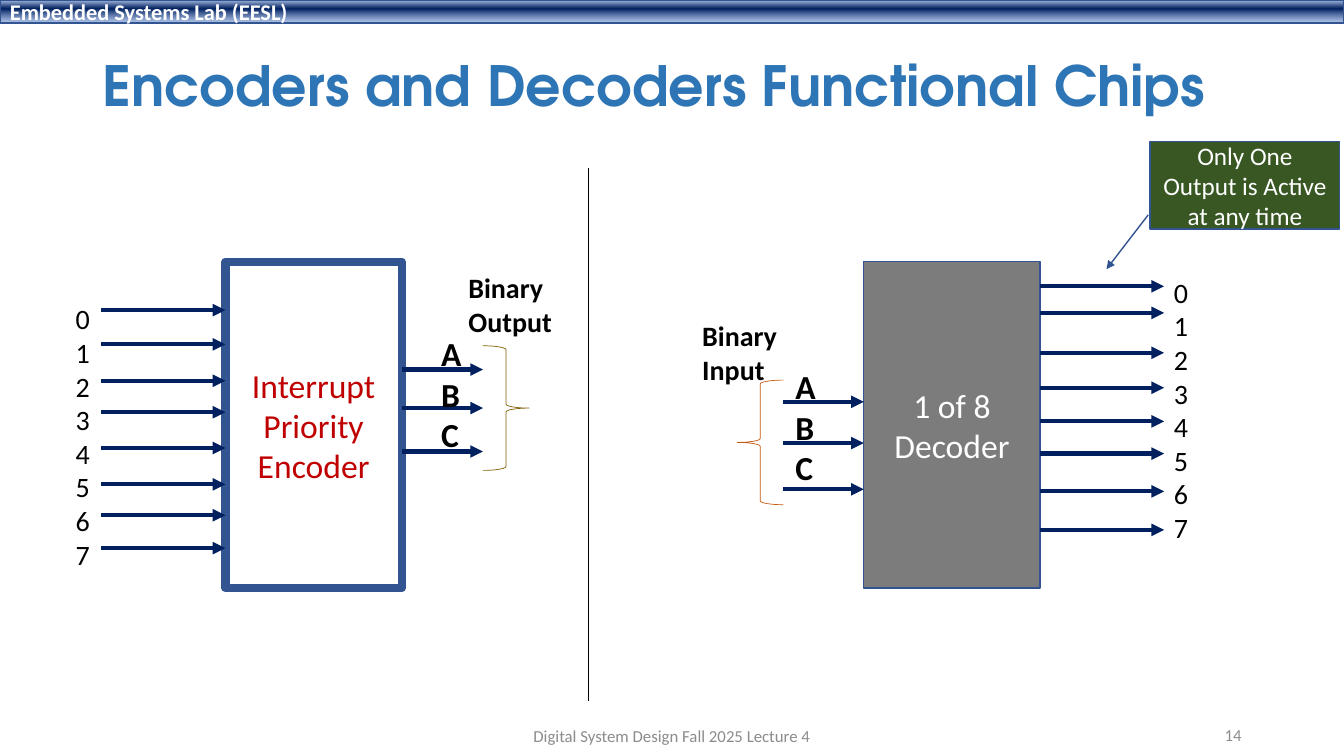
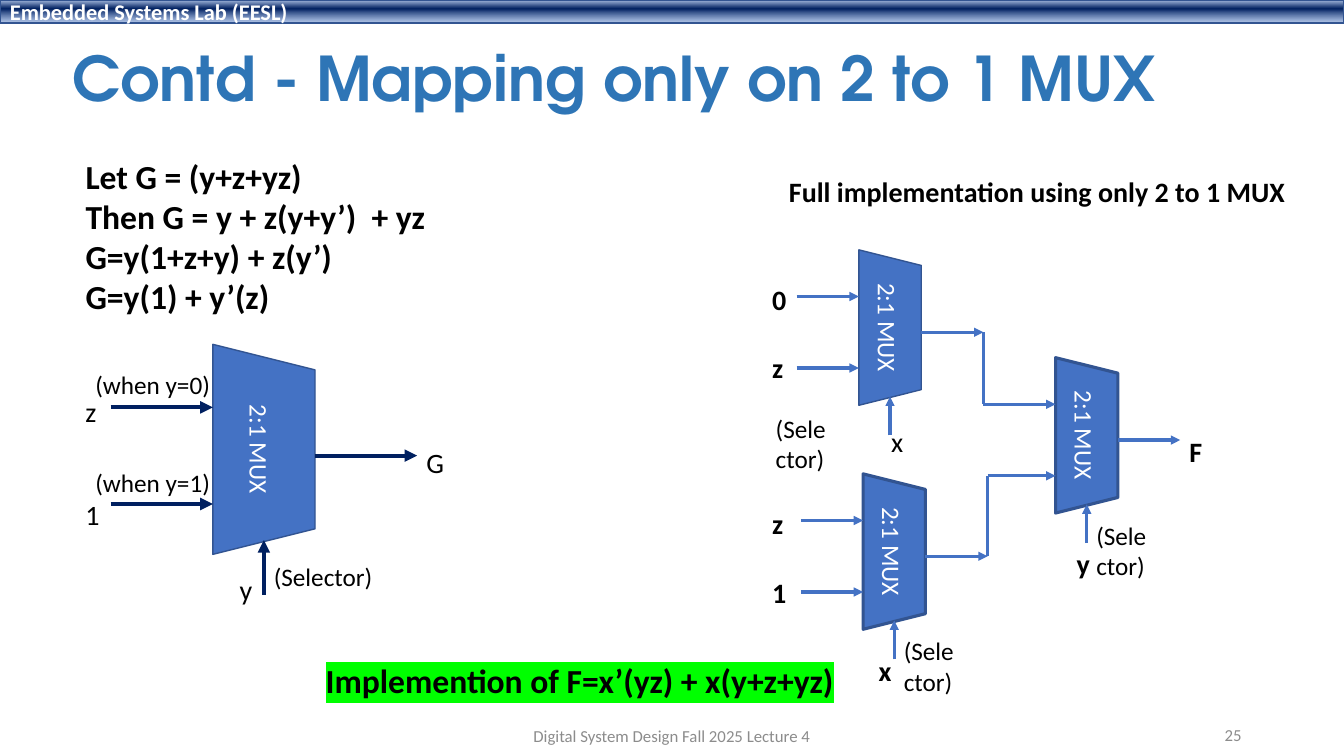
from dataclasses import dataclass
from lxml.etree import SubElement as Sub
from pptx import Presentation
from pptx.dml.color import RGBColor as Rgb
from pptx.enum.shapes import MSO_CONNECTOR as Link, MSO_SHAPE as Form
from pptx.enum.text import MSO_ANCHOR as Anchor, PP_ALIGN as Align
from pptx.oxml.ns import qn
from pptx.util import Pt


@dataclass(frozen=True)
class Theme:
    body: str = "Calibri"
    head: str = "TeX Gyre Adventor"
    black: str = "000000"
    white: str = "FFFFFF"
    navy: str = "002060"
    edge: str = "325491"
    blue: str = "4472C4"
    title: str = "2E75B6"
    gray: str = "7C7C7C"
    pale: str = "8C8C8C"
    red: str = "C00000"
    green: str = "385723"
    gold: str = "806000"
    rust: str = "C55A11"
    mark: str = "00FF00"
    tiny: float = 12
    band: float = 16
    small: float = 18
    mid: float = 20
    big: float = 24


T = Theme()
WIDE, HIGH = 960, 540
FADE = [(2, "ABC0E4", 100), (38, T.navy, 100), (93, "7E9ED6", 64)]
DIGITS = "\n".join(str(n) for n in range(8))
STEP = 24.4


def write(shape, text, size=T.mid, color=T.black, font=T.body, bold=False,
          align=Align.LEFT, anchor=Anchor.TOP, wrap=False, space=None, mark=None):
    frame = shape.text_frame
    frame.word_wrap = wrap
    frame.vertical_anchor = anchor
    for i, line in enumerate(text.split("\n")):
        para = frame.paragraphs[0] if i == 0 else frame.add_paragraph()
        para.alignment = align
        if space:
            para.line_spacing = space
        run = para.add_run()
        run.text = line
        run.font.size = Pt(size)
        run.font.bold = bold
        run.font.color.rgb = Rgb.from_string(color)
        run.font.name = font
        if mark:
            props = run._r.get_or_add_rPr()
            glow = Sub(props, qn("a:highlight"))
            Sub(glow, qn("a:srgbClr"), val=mark)
            props.find(qn("a:latin")).addprevious(glow)


def label(slide, box, text, **style):
    write(slide.shapes.add_textbox(*map(Pt, box)), text, **style)


def tags(slide, x, y, rows, **style):
    for text, dx, dy, w, h in rows:
        label(slide, (x + dx, y + dy, w, h), text, **style)


def block(slide, form, box, fill=None, line=T.edge, width=1):
    shape = slide.shapes.add_shape(form, *map(Pt, box))
    shape.shadow.inherit = False
    if fill:
        shape.fill.solid()
        shape.fill.fore_color.rgb = Rgb.from_string(fill)
    else:
        shape.fill.background()
    shape.line.color.rgb = Rgb.from_string(line)
    shape.line.width = Pt(width)
    return shape


def tip(shape):
    Sub(shape.line._get_or_add_ln(), qn("a:tailEnd"), type="triangle")


def wire(slide, x1, y1, x2, y2, color=T.navy, width=3, head=True):
    link = slide.shapes.add_connector(Link.STRAIGHT, *map(Pt, (x1, y1, x2, y2)))
    link.line.color.rgb = Rgb.from_string(color)
    link.line.width = Pt(width)
    if head:
        tip(link)
    Sub(link._element.spPr, qn("a:effectLst"))


def wires(slide, x1, x2, top, drops):
    for drop in drops:
        wire(slide, x1, top + drop, x2, top + drop)


def band(slide, box):
    shape = block(slide, Form.RECTANGLE, box)
    shape.fill.gradient()
    shape.fill.gradient_angle = 270
    stops = shape._element.spPr.find(qn("a:gradFill")).find(qn("a:gsLst"))
    for old in list(stops):
        stops.remove(old)
    for at, color, alpha in FADE:
        stop = Sub(stops, qn("a:gs"), pos=str(at * 1000))
        tone = Sub(stop, qn("a:srgbClr"), val=color)
        if alpha < 100:
            Sub(tone, qn("a:alpha"), val=str(alpha * 1000))
    write(shape, "Embedded Systems Lab (EESL)", size=T.band, color=T.white,
          bold=True, anchor=Anchor.MIDDLE, wrap=True)


def start(deck, title, box, size, page):
    slide = deck.slides.add_slide(deck.slide_layouts[6])
    band(slide, (0, 0, WIDE, 16.5))
    label(slide, box, title, size=size, color=T.title, font=T.head, bold=True,
          anchor=Anchor.MIDDLE, wrap=True, space=0.9)
    foot = dict(size=T.tiny, color=T.pale, anchor=Anchor.MIDDLE, wrap=True)
    label(slide, (318, 511, 324, 29), "Digital System Design Fall 2025 Lecture 4",
          align=Align.CENTER, **foot)
    label(slide, (678, 510.5, 216, 29), page, align=Align.RIGHT, **foot)
    return slide


def encoder(slide, box):
    x, y, w, h = box
    chip = block(slide, Form.RECTANGLE, box, width=6)
    write(chip, "Interrupt Priority\nEncoder", size=T.big, color=T.red,
          align=Align.CENTER, anchor=Anchor.MIDDLE, wrap=True)
    wires(slide, x - 88.5, x, y, (34.5, 59, 85, 107.5, 133, 159, 181, 204.5))
    wires(slide, x + w, x + w + 58, y, (77, 104.5, 135.5))
    block(slide, Form.RIGHT_BRACE, (x + w + 58, y + 60, 33, 89), line=T.gold, width=0.5)
    label(slide, (x - 114, y + 25, 24.5, 201), DIGITS)
    label(slide, (x + 166.5, y + 3, 75, 55), "Binary\nOutput", bold=True)
    label(slide, (x + 147, y + 47.5, 29.5, 94), "A\nB\nC", size=T.big, bold=True)


def decoder(slide, box):
    x, y, w, h = box
    chip = block(slide, Form.RECTANGLE, box, fill=T.gray)
    write(chip, "1 of 8\nDecoder", size=T.big, color=T.white,
          align=Align.CENTER, anchor=Anchor.MIDDLE, wrap=True)
    wires(slide, x - 57.5, x, y, (100, 129.5, 162.5))
    wires(slide, x + w, x + w + 88.5, y, (17.5, 36.5, 65, 90, 114, 137, 164, 191.5))
    brace = block(slide, Form.RIGHT_BRACE, (x - 90.5, y + 84.5, 33, 89),
                  line=T.rust, width=0.5)
    brace.rotation = 180
    label(slide, (x + w + 88.5, y + 6, 24.5, 201), DIGITS)
    label(slide, (x - 122.5, y + 37, 68.5, 55), "Binary\nInput", bold=True)
    label(slide, (x - 56, y + 71, 29.5, 94), "A\nB\nC", size=T.big, bold=True)


def callout(slide, box):
    shape = block(slide, Form.LINE_CALLOUT_1, box, fill=T.green)
    for i, value in enumerate((0.84, -0.01, 1.46, -0.23)):
        shape.adjustments[i] = value
    tip(shape)
    write(shape, "Only One Output is Active at any time", size=T.small,
          color=T.white, align=Align.CENTER, anchor=Anchor.MIDDLE, wrap=True)


def mux(slide, box, leads=None, stub=21.5, edge=2.25, color=T.blue, width=2.25):
    x, y, w, h = box
    turned = (x + (w - h) / 2, y + (h - w) / 2, h, w)
    shape = block(slide, Form.TRAPEZOID, turned, fill=T.blue, width=edge)
    shape.rotation = 90
    write(shape, "2:1 MUX", size=T.small, color=T.white,
          align=Align.CENTER, anchor=Anchor.MIDDLE, wrap=True)
    pen = dict(color=color, width=width)
    for part, lead in zip((0.3, 0.76), leads or (w, w)):
        wire(slide, x - lead, y + part * h, x, y + part * h, **pen)
    wire(slide, x + w, y + 0.53 * h, x + 2 * w, y + 0.53 * h, **pen)
    wire(slide, x + w / 2, y + h + stub, x + w / 2, y + h - 0.14 * w, **pen)


def single(slide, box):
    x, y, w, h = box
    mux(slide, box, stub=29, edge=1, color=T.navy, width=3)
    tags(slide, x, y, [
        ("z", -98, 32.5, 24.5, 31.5), ("1", -98, 32.5 + 3 * STEP, 24.5, 31.5),
        ("y", 12, 159.5, 24, 31.5), ("G", 145.5, 68.5, 27.5, 31.5)])
    tags(slide, x, y, [
        ("(when y=0)", -91, 14, 98, 29), ("(when y=1)", -91, 84, 98, 29),
        ("(Selector)", 36.5, 151.5, 85.5, 29)], size=T.small)


def network(slide, box):
    x, y, w, h = box
    low, last = (x + 3, y + 160), (x + 140.5, y + 77)
    turns = (x + 2 * w, low[0] + 2 * w)
    mux(slide, box, edge=1)
    mux(slide, (*low, w, h))
    mux(slide, (*last, w, h), leads=[last[0] - turn for turn in turns])
    for turn, top, part in zip(turns, (y, low[1]), (0.3, 0.76)):
        wire(slide, turn, top + 0.53 * h, turn, last[1] + part * h,
             color=T.blue, width=2.25, head=False)
    tags(slide, x, y, [
        ("0", -69, 19.5, 24.5, 31.5), ("z", -69, 19.5 + 2 * STEP, 24.5, 31.5),
        ("z", -69, 180, 24.5, 31.5), ("1", -69, 180 + 2 * STEP, 24.5, 31.5),
        ("x", 7, 284.5, 24, 31.5), ("y", 148.5, 208, 24.5, 31.5),
        ("F", 229, 128, 24, 31.5)], bold=True)
    tags(slide, x, y, [("x", 16, 121.5, 23, 31.5)])
    tags(slide, x, y, [("(Selector)", dx, dy, 52.5, 21.5) for dx, dy in
                       ((-66.5, 113), (25, 272), (162.5, 189.5))],
         size=T.small, wrap=True)


def chips(deck):
    slide = start(deck, "Encoders and Decoders Functional Chips",
                  (66, 21.5, 828, 83), 39.6, "14")
    encoder(slide, (161, 187, 126, 233))
    wire(slide, 420.5, 120, 420.5, 500.5, color=T.black, width=0.5, head=False)
    decoder(slide, (617, 187, 126, 233))
    callout(slide, (821.5, 101, 135.5, 62.5))


def mapping(deck):
    slide = start(deck, "Contd - Mapping only on 2 to 1 MUX",
                  (44.5, 6.5, 790, 104), 44, "25")
    label(slide, (54, 107.5, 259, 124),
          "Let G = (y+z+yz)\nThen G = y + z(y+y’)  + yz\nG=y(1+z+y) + z(y’)\nG=y(1) + y’(z)",
          size=T.big, bold=True)
    single(slide, (152, 246, 73, 150))
    label(slide, (556.5, 121, 371.5, 31.5), "Full implementation using only 2 to 1 MUX",
          bold=True)
    network(slide, (613.5, 178.5, 44.5, 111))
    label(slide, (225.5, 468, 381, 36), "Implemention of F=x’(yz) + x(y+z+yz)",
          size=T.big, bold=True, mark=T.mark)


def main():
    deck = Presentation()
    deck.slide_width, deck.slide_height = Pt(WIDE), Pt(HIGH)
    chips(deck)
    mapping(deck)
    deck.save("out.pptx")


if __name__ == "__main__":
    main()
